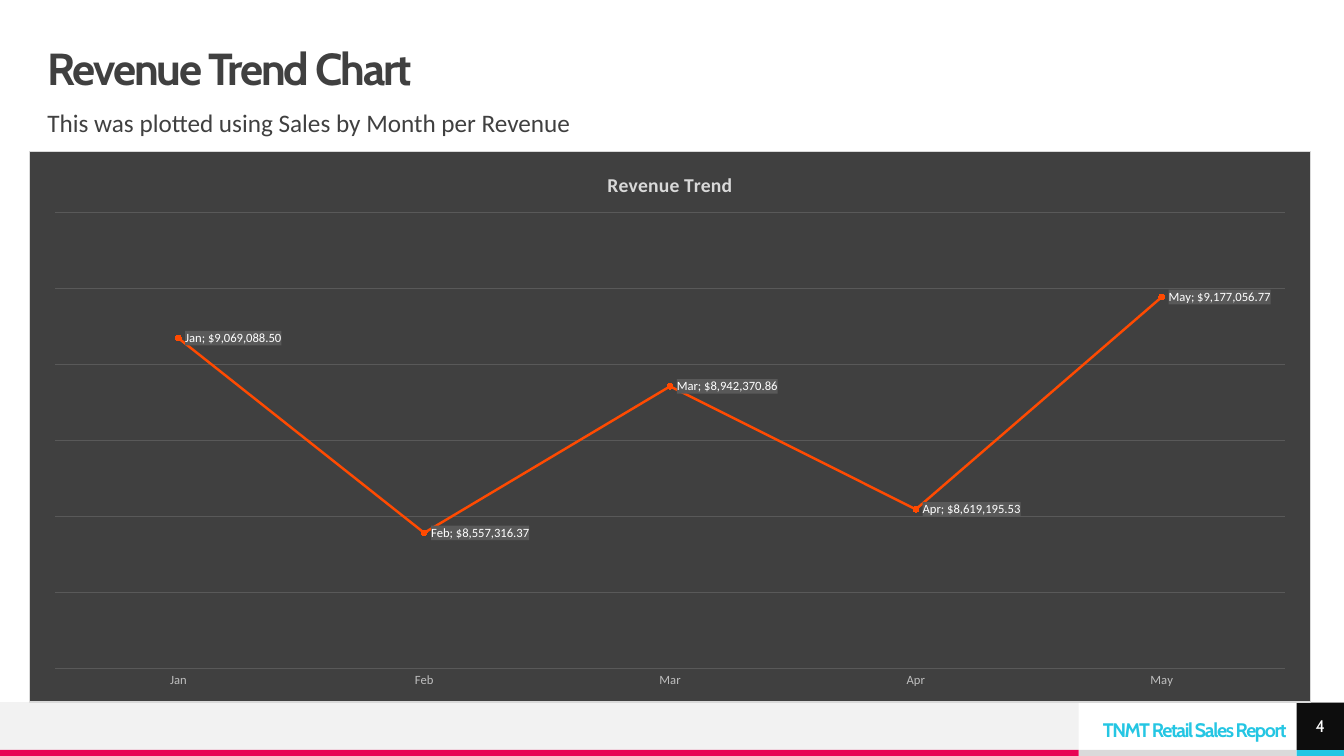
from dataclasses import dataclass, field
from typing import Any

from lxml.etree import SubElement
from pptx import Presentation
from pptx.chart.data import CategoryChartData
from pptx.dml.color import RGBColor as RGB
from pptx.enum.chart import XL_CHART_TYPE as CT
from pptx.enum.chart import XL_LABEL_POSITION as LP
from pptx.enum.chart import XL_MARKER_STYLE as MS
from pptx.enum.chart import XL_TICK_MARK as TM
from pptx.enum.shapes import MSO_CONNECTOR as CONN
from pptx.enum.shapes import MSO_SHAPE as SHAPE
from pptx.enum.text import MSO_ANCHOR as ANCHOR
from pptx.enum.text import MSO_AUTO_SIZE as FIT
from pptx.enum.text import PP_ALIGN as ALIGN
from pptx.oxml import parse_xml
from pptx.oxml.ns import qn
from pptx.util import Inches, Pt

COLORS = {
    "ink": "404040", "white": "FFFFFF", "black": "0D0D0D", "cyan": "25C6E3",
    "pink": "E80554", "silver": "DADADA", "mist": "F2F2F2", "grid": "595959",
    "border": "D9D9D9", "axis": "BFBFBF", "line": "FF4A01", "marker": "FF9267",
}
MONEY = '"$"#,##0.00'
REVENUE = {
    "Jan": 9069088.50, "Feb": 8557316.37, "Mar": 8942370.86,
    "Apr": 8619195.53, "May": 9177056.77,
}
NS = ('xmlns:c="http://schemas.openxmlformats.org/drawingml/2006/chart" '
      'xmlns:a="http://schemas.openxmlformats.org/drawingml/2006/main"')

prs = Presentation()
prs.slide_width, prs.slide_height = Inches(13.33), Inches(7.5)
COL, ROW = prs.slide_width / 100, prs.slide_height / 100
LEFT, SPLIT, PAGE = 3.53, 80.25, 96.47
FOOT, STRIP = 92.93, 99.2


@dataclass
class Box:
    x: float
    y: float
    w: float
    h: float

    def emu(self) -> tuple[int, ...]:
        return (round(self.x * COL), round(self.y * ROW),
                round(self.w * COL), round(self.h * ROW))


@dataclass
class Bar:
    box: Box
    color: str


@dataclass
class Label:
    text: str
    box: Box
    font: dict[str, Any]
    color: str = "ink"
    tracking: int = 0
    frame: dict[str, Any] = field(default_factory=dict)
    para: dict[str, Any] = field(default_factory=dict)


def rgb(name: str) -> RGB:
    return RGB.from_string(COLORS[name])


def apply(target: Any, values: dict[str, Any]) -> None:
    for key, value in values.items():
        setattr(target, key, value)


def style_font(font: Any, size: float, color: str, bold: bool = False) -> None:
    apply(font, {"name": "Calibri", "size": Pt(size), "bold": bold})
    font.color.rgb = rgb(color)


def draw_bar(s: Any, bar: Bar) -> Any:
    sp = s.shapes.add_shape(SHAPE.RECTANGLE, *bar.box.emu())
    sp.shadow.inherit = False
    sp.fill.solid()
    sp.fill.fore_color.rgb = rgb(bar.color)
    sp.line.fill.background()
    return sp


def write(sp: Any, label: Label) -> None:
    tf = sp.text_frame
    margins = dict.fromkeys(
        ("margin_left", "margin_top", "margin_right", "margin_bottom"), 0)
    apply(tf, {"word_wrap": True, **margins, **label.frame})
    p = tf.paragraphs[0]
    apply(p, label.para)
    r = p.add_run()
    r.text = label.text
    apply(r.font, label.font)
    r.font.color.rgb = rgb(label.color)
    if label.tracking:
        r.font._element.set("spc", str(label.tracking))


def draw_label(s: Any, label: Label) -> None:
    write(s.shapes.add_textbox(*label.box.emu()), label)


def draw_rule(s: Any) -> None:
    y = round(FOOT * ROW)
    cx = s.shapes.add_connector(CONN.STRAIGHT, prs.slide_width, y, 0, y)
    cx.line.color.rgb = rgb("mist")
    cx.line.width = Pt(0.5)
    SubElement(cx._element.spPr, qn("a:effectLst"))


def sp_pr(fill: str, border: str = "") -> Any:
    def solid(name: str) -> str:
        return f'<a:solidFill><a:srgbClr val="{COLORS[name]}"/></a:solidFill>'

    edge = f'<a:ln w="{Pt(0.75)}">{solid(border)}</a:ln>' if border else ""
    return parse_xml(f"<c:spPr {NS}>{solid(fill)}{edge}</c:spPr>")


def draw_chart(s: Any, box: Box) -> None:
    data = CategoryChartData(number_format=MONEY)
    data.categories = list(REVENUE)
    data.add_series("Series 1", list(REVENUE.values()))
    chart = s.shapes.add_chart(CT.LINE_MARKERS, *box.emu(), data).chart
    chart.has_legend = False
    style_font(chart.font, 10, "white")
    root = chart._chartSpace.find(qn("c:chart"))
    root.addnext(sp_pr("ink", "border"))

    chart.has_title = True
    tf = chart.chart_title.text_frame
    tf.text = "Revenue Trend"
    style_font(tf.paragraphs[0].runs[0].font, 14, "border", True)
    chart.chart_title.include_in_layout = False

    cat, val = chart.category_axis, chart.value_axis
    apply(cat, {"major_tick_mark": TM.NONE, "minor_tick_mark": TM.NONE})
    cat.format.line.fill.background()
    style_font(cat.tick_labels.font, 9, "axis")
    apply(val, {"minimum_scale": 8200000, "maximum_scale": 9400000,
                "major_unit": 200000, "has_major_gridlines": True,
                "visible": False})
    grid = val.major_gridlines.format.line
    grid.color.rgb = rgb("grid")
    grid.width = Pt(0.75)

    plot = chart.plots[0]
    plot.vary_by_categories = False
    series = plot.series[0]
    series.smooth = False
    series.format.line.color.rgb = rgb("line")
    series.format.line.width = Pt(1.75)
    apply(series.marker, {"style": MS.CIRCLE, "size": 4})
    series.marker.format.fill.solid()
    series.marker.format.fill.fore_color.rgb = rgb("marker")
    series.marker.format.line.color.rgb = rgb("line")

    labels = series.data_labels
    apply(labels, {"show_value": True, "show_category_name": True,
                   "number_format": MONEY, "number_format_is_linked": False,
                   "position": LP.RIGHT})
    style_font(labels.font, 9, "white")
    el = labels._element
    el.find(qn("c:txPr")).addprevious(sp_pr("grid"))
    el.find(qn("c:showBubbleSize")).addnext(
        parse_xml(f"<c:separator {NS}>; </c:separator>"))

    area = {"x": 0.02, "y": 0.11, "w": 0.96, "h": 0.83}
    parts = "".join(f'<c:{k} val="{v}"/>' for k, v in area.items())
    plot_area = root.find(qn("c:plotArea"))
    for old in plot_area.findall(qn("c:layout")):
        plot_area.remove(old)
    plot_area.insert(0, parse_xml(
        f'<c:layout {NS}><c:manualLayout><c:layoutTarget val="inner"/>'
        f'<c:xMode val="edge"/><c:yMode val="edge"/>{parts}'
        "</c:manualLayout></c:layout>"))


BARS = [
    Bar(Box(SPLIT, STRIP, PAGE - SPLIT, 100 - STRIP), "silver"),
    Bar(Box(0, FOOT, SPLIT, STRIP - FOOT), "mist"),
    Bar(Box(0, STRIP, SPLIT, 100 - STRIP), "pink"),
    Bar(Box(PAGE, STRIP, 100 - PAGE, 100 - STRIP), "cyan"),
]
LABELS = [
    Label("TNMT Retail Sales Report", Box(SPLIT, 94.53, PAGE - SPLIT, 3.73),
          {"name": "Cabin", "size": Pt(14), "bold": True}, "cyan", -100,
          {"vertical_anchor": ANCHOR.MIDDLE, "auto_size": FIT.SHAPE_TO_FIT_TEXT,
           "margin_left": Inches(0.1), "margin_top": Inches(0.12),
           "margin_right": Inches(0.1)},
          {"alignment": ALIGN.RIGHT, "line_spacing": Pt(10)}),
    Label("Revenue Trend Chart", Box(LEFT, 6.27, PAGE - LEFT, 6.27),
          {"name": "Cabin", "size": Pt(32), "bold": True}, tracking=-150,
          frame={"vertical_anchor": ANCHOR.MIDDLE}, para={"line_spacing": 0.9}),
    Label("This was plotted using Sales by Month per Revenue",
          Box(LEFT, 14.67, PAGE - LEFT, 5.2),
          {"name": "Calibri", "size": Pt(18)},
          para={"line_spacing": 0.9, "space_before": Pt(10)}),
]
NUMBER = Label("4", Box(PAGE, FOOT, 100 - PAGE, STRIP - FOOT),
               {"name": "Cabin", "size": Pt(12)}, "white",
               frame={"vertical_anchor": ANCHOR.MIDDLE},
               para={"alignment": ALIGN.CENTER})


def main() -> None:
    s = prs.slides.add_slide(prs.slide_layouts[6])
    for bar in BARS:
        draw_bar(s, bar)
    draw_rule(s)
    for label in LABELS:
        draw_label(s, label)
    write(draw_bar(s, Bar(NUMBER.box, "black")), NUMBER)
    draw_chart(s, Box(2.18, 20, 95.35, 72.93))
    prs.save("out.pptx")


if __name__ == "__main__":
    main()
